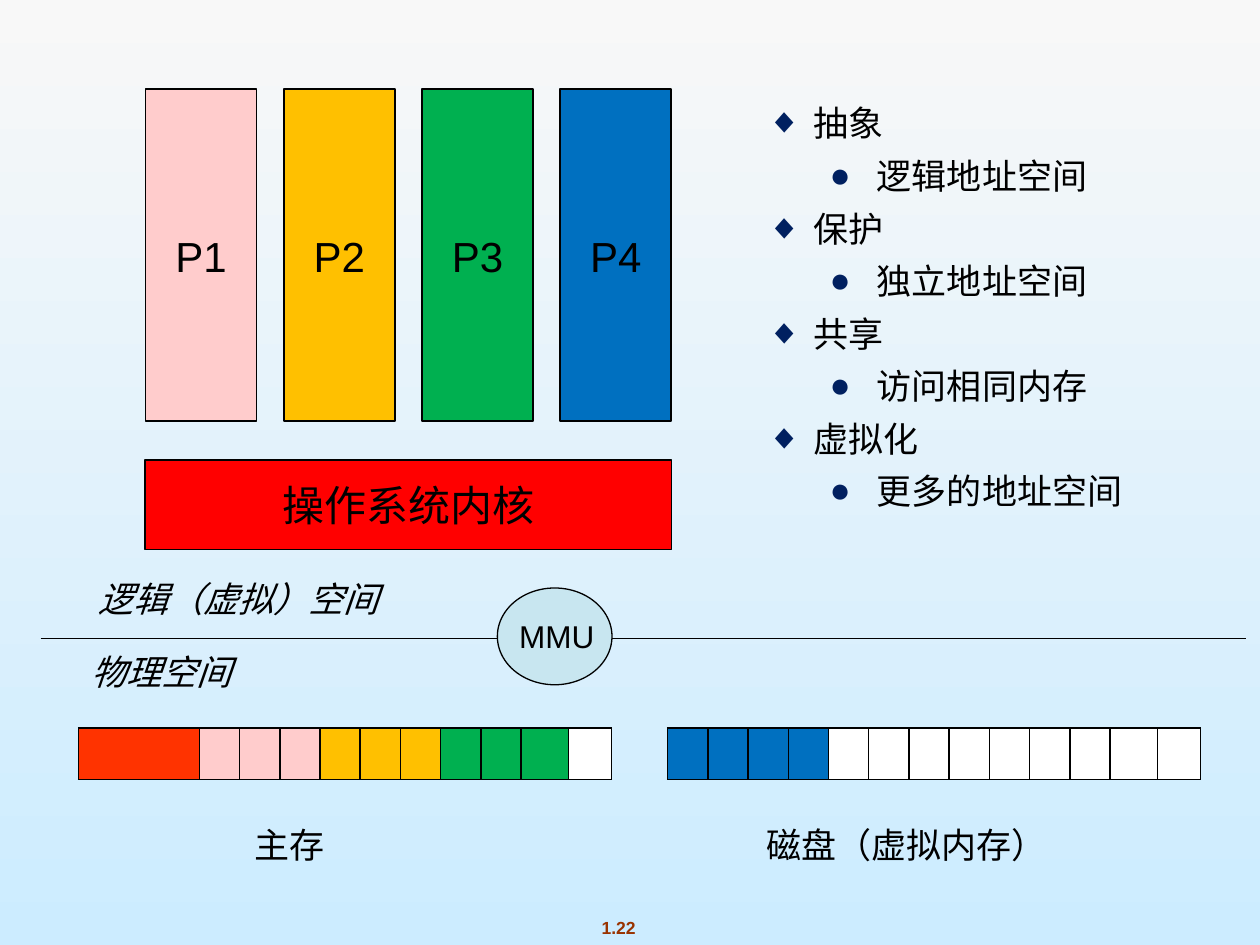
import pptx
import pptx.util
import pptx.dml.color
import pptx.enum.shapes
import pptx.enum.text
import pptx.oxml
import pptx.oxml.ns
import lxml.etree

Pt = pptx.util.Pt
RGB = pptx.dml.color.RGBColor.from_string
Shape = pptx.enum.shapes.MSO_SHAPE
Align = pptx.enum.text.PP_ALIGN
Anchor = pptx.enum.text.MSO_ANCHOR
qn = pptx.oxml.ns.qn
NS = pptx.oxml.ns.nsdecls("a")

HUES = {
    "black": "000000", "white": "FFFFFF", "pink": "FFCCCC", "gold": "FFC000",
    "green": "00B050", "blue": "0070C0", "red": "FF0000", "kernel": "FF3300",
    "mmu": "C8E6F0", "navy": "002060", "brown": "993300",
    "top": "F8F8F8", "base": "CCECFF",
}


def write(para, text, size, hue="black", bold=False, slant=False):
    run = para.add_run()
    run.text = text
    font = run.font
    font.name, font.size = "Arial", Pt(size)
    font.bold, font.italic = bold, slant
    font.color.rgb = RGB(HUES[hue])


def block(kind, box, hue, text, size, width=1):
    shape = slide.shapes.add_shape(kind, *map(Pt, box))
    shape.shadow.inherit = False
    shape.fill.solid()
    shape.fill.fore_color.rgb = RGB(HUES[hue])
    shape.line.color.rgb = RGB(HUES["black"])
    shape.line.width = Pt(width)
    frame = shape.text_frame
    frame.word_wrap = False
    frame.vertical_anchor = Anchor.MIDDLE
    frame.paragraphs[0].alignment = Align.CENTER
    write(frame.paragraphs[0], text, size)
    return shape


deck = pptx.Presentation()
deck.slide_width, deck.slide_height = Pt(720), Pt(540)
slide = deck.slides.add_slide(deck.slide_layouts[6])

back = slide.background.fill
back.gradient()
back.gradient_angle = 270
for stop, hue in zip(back.gradient_stops, ("top", "base")):
    stop.color.rgb = RGB(HUES[hue])

for i, hue in enumerate(("pink", "gold", "green", "blue")):
    block(Shape.RECTANGLE, (83.2 + 79 * i, 51, 63.4, 189.8), hue, f"P{i + 1}", 24)
block(Shape.RECTANGLE, (82.7, 263, 301, 51), "red", "操作系统内核", 24)

cell_w = 23
ends = [27, 24.8]
grids = [
    (44.9, [69] + [cell_w] * 8 + ends,
     ["kernel"] + ["pink"] * 3 + ["gold"] * 3 + ["green"] * 3 + ["white"]),
    (381.5, [cell_w] * 11 + ends, ["blue"] * 4 + ["white"] * 9),
]
for left, widths, hues in grids:
    table = slide.shapes.add_table(
        1, len(widths), Pt(left), Pt(416), Pt(sum(widths)), Pt(29.5)).table
    table.first_row = table.horz_banding = False
    for i, (width, hue) in enumerate(zip(widths, hues)):
        table.columns[i].width = Pt(width)
        cell = table.cell(0, i)
        cell.margin_top = cell.margin_bottom = 0
        cell.fill.solid()
        cell.fill.fore_color.rgb = RGB(HUES[hue])
        for j, side in enumerate("LRTB"):
            edge = pptx.oxml.parse_xml(
                f'<a:ln{side} {NS} w="{Pt(1)}"><a:solidFill>'
                f'<a:srgbClr val="{HUES["black"]}"/></a:solidFill></a:ln{side}>')
            cell.fill._xPr.insert(j, edge)

rule = slide.shapes.add_connector(
    pptx.enum.shapes.MSO_CONNECTOR.STRAIGHT, Pt(23.3), Pt(364.8), Pt(712), Pt(364.8))
rule.line.color.rgb = RGB(HUES["black"])
rule.line.width = Pt(0.75)
lxml.etree.SubElement(rule._element.spPr, qn("a:effectLst"))

mmu = block(Shape.OVAL, (284.2, 336, 65.5, 55.3), "mmu", "MMU", 18, 0.75)
mmu.text_frame.margin_left = Pt(2.9)
mmu.text_frame.paragraphs[0].alignment = Align.LEFT

labels = [
    ("主存", 138.3, 467.3, 67.5, False),
    ("磁盘（虚拟内存）", 431, 467.3, 225, False),
    ("逻辑（虚拟）空间", 49, 326.7, 204, True),
    ("物理空间", 45, 368, 204, True),
]
for text, left, top, width, slant in labels:
    frame = slide.shapes.add_textbox(Pt(left), Pt(top), Pt(width), Pt(31.5)).text_frame
    frame.word_wrap = True
    write(frame.paragraphs[0], text, 20, slant=slant)

goals = [
    ("抽象", "逻辑地址空间"),
    ("保护", "独立地址空间"),
    ("共享", "访问相同内存"),
    ("虚拟化", "更多的地址空间"),
]
frame = slide.shapes.add_textbox(Pt(431), Pt(54.7), Pt(263), Pt(243.4)).text_frame
frame.word_wrap = True
for row, pair in enumerate(goals):
    for level, text in enumerate(pair):
        first = row == level == 0
        para = frame.paragraphs[0] if first else frame.add_paragraph()
        para.level = level
        para.space_before = Pt(0 if first else 6)
        props = para._p.get_or_add_pPr()
        props.set("marL", str(Pt(27 + 36 * level)))
        props.set("indent", str(Pt(-27)))
        tint = lxml.etree.SubElement(props, qn("a:buClr"))
        lxml.etree.SubElement(tint, qn("a:srgbClr"), val=HUES["navy"])
        lxml.etree.SubElement(props, qn("a:buFont"), typeface="Arial")
        lxml.etree.SubElement(props, qn("a:buChar"), char="◆●"[level])
        write(para, text, 20)

frame = slide.shapes.add_textbox(Pt(336), Pt(520.5), Pt(35), Pt(19.4)).text_frame
frame.word_wrap = False
frame.paragraphs[0].alignment = Align.CENTER
write(frame.paragraphs[0], "1.22", 10, "brown", bold=True)

deck.save("out.pptx")
